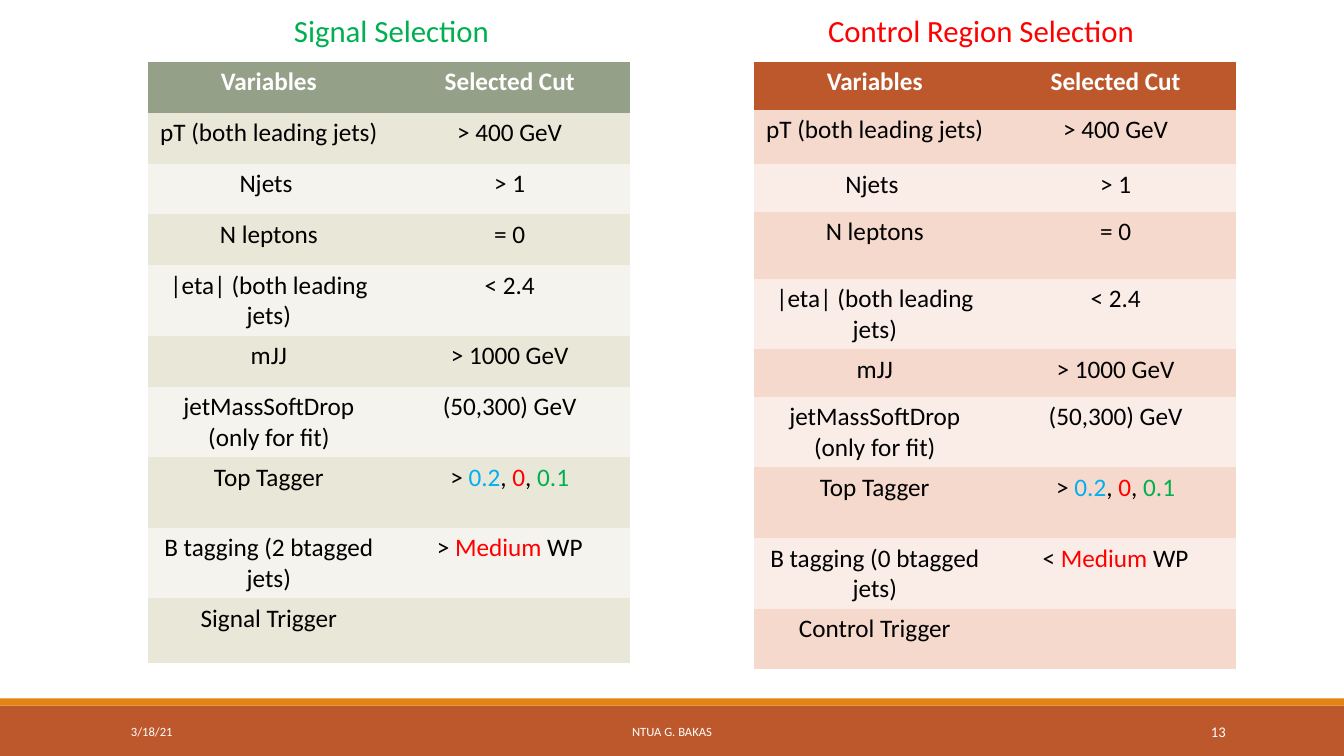
from pptx import Presentation
from pptx.dml.color import RGBColor
from pptx.enum.shapes import MSO_SHAPE
from pptx.enum.text import MSO_ANCHOR, PP_ALIGN
from pptx.util import Cm, Pt

HUES = {
    "white": "FFFFFF", "black": "000000",
    "rust": "BD582C", "amber": "E48312",
    "red": "FF0000", "green": "00B050", "blue": "00B0F0",
    "sage": "94A088", "sage mid": "E9E7D8", "sage pale": "F4F3ED",
    "rust mid": "F5D9CC", "rust pale": "FAEDE7",
}
PLAIN = "{2D5ABB26-0587-4C30-8999-92F81FD0307C}"  # table style without borders


def hue(name):
    return RGBColor.from_string(HUES[name])


class Page:
    def __init__(self, slide, face="Calibri"):
        self.shapes = slide.shapes
        self.face = face

    def font(self, para, size, tint, bold=False):
        para.font.name = self.face
        para.font.size = Pt(size)
        para.font.bold = bold
        if tint:
            para.font.color.rgb = hue(tint)

    def bar(self, top, height, tint):
        """Add a full-width band."""
        box = self.shapes.add_shape(
            MSO_SHAPE.RECTANGLE, 0, Cm(top), Cm(33.87), Cm(height))
        box.shadow.inherit = False
        box.fill.solid()
        box.fill.fore_color.rgb = hue(tint)
        box.line.fill.background()

    def text(self, words, left, top, width, height, size, tint,
             align=PP_ALIGN.LEFT, anchor=MSO_ANCHOR.TOP):
        box = self.shapes.add_textbox(Cm(left), Cm(top), Cm(width), Cm(height))
        frame = box.text_frame
        frame.word_wrap = True
        frame.vertical_anchor = anchor
        para = frame.paragraphs[0]
        para.text = words
        para.alignment = align
        self.font(para, size, tint)

    def cell(self, cell, parts, fill, head):
        """Fill a cell; parts is a string or a list of (words, colour)."""
        cell.fill.solid()
        cell.fill.fore_color.rgb = hue(fill)
        para = cell.text_frame.paragraphs[0]
        para.alignment = PP_ALIGN.CENTER
        tint = "white" if head else "black"
        if isinstance(parts, str):
            para.text = parts
            self.font(para, 18, tint, head)
            return
        self.font(para, 18, None, head)
        for words, tint in parts:
            run = para.add_run()
            run.text = words
            run.font.color.rgb = hue(tint)

    def table(self, rows, left, tone, heights):
        frame = self.shapes.add_table(
            len(rows), 2, Cm(left), Cm(1.56), Cm(12.14), Cm(sum(heights)))
        grid = frame.table
        grid.horz_banding = False
        grid.first_row = False
        grid._tbl.tblPr[0].text = PLAIN
        for i, row in enumerate(rows):
            grid.rows[i].height = Cm(heights[i])
            fill = tone if i == 0 else tone + (" mid" if i % 2 else " pale")
            for j, parts in enumerate(row):
                self.cell(grid.cell(i, j), parts, fill, i == 0)


def cuts(count, sign, region):
    """Return the table rows of one selection region."""
    tagger = [("> ", "black"), ("0.2", "blue"), (", ", "black"),
              ("0", "red"), (", ", "black"), ("0.1", "green")]
    point = [(sign + " ", "black"), ("Medium", "red"), (" WP", "black")]
    return [
        ("Variables", "Selected Cut"),
        ("pT (both leading jets) ", "> 400 GeV"),
        ("Njets ", "> 1"),
        ("N leptons", "= 0"),
        ("|eta| (both leading jets)", "< 2.4"),
        ("mJJ", "> 1000 GeV"),
        ("jetMassSoftDrop (only for fit)", "(50,300) GeV"),
        ("Top Tagger", tagger),
        (f"B tagging ({count} btagged jets)", point),
        (f"{region} Trigger", ""),
    ]


def main():
    deck = Presentation()
    deck.slide_width, deck.slide_height = Cm(33.87), Cm(19.05)
    page = Page(deck.slides.add_slide(deck.slide_layouts[6]))

    page.bar(17.78, 1.27, "rust")
    page.bar(17.6, 0.18, "amber")
    for words, left, width, size, align in (
            ("3/18/21", 3.05, 6.86, 9, PP_ALIGN.LEFT),
            ("NTUA G. BAKAS", 10.24, 13.39, 9, PP_ALIGN.CENTER),
            ("13", 27.51, 3.63, 10.5, PP_ALIGN.RIGHT)):
        page.text(words, left, 17.93, width, 1.02, size, "white",
                  align, MSO_ANCHOR.MIDDLE)

    page.text("Signal Selection", 7.16, 0.18, 5.6, 1.19, 22, "green")
    page.text("Control Region Selection", 20.62, 0.18, 9.14, 1.19, 22, "red")

    low, tall = 1.28, 1.78
    page.table(cuts(2, ">", "Signal"), 3.74, "sage",
               [low] * 4 + [tall, low] + [tall] * 3 + [1.62])
    low = 1.2
    page.table(cuts(0, "<", "Control"), 19.01, "rust",
               [low, 1.38, low, 1.68, tall, low] + [tall] * 3 + [1.52])

    deck.save("out.pptx")


if __name__ == "__main__":
    main()
